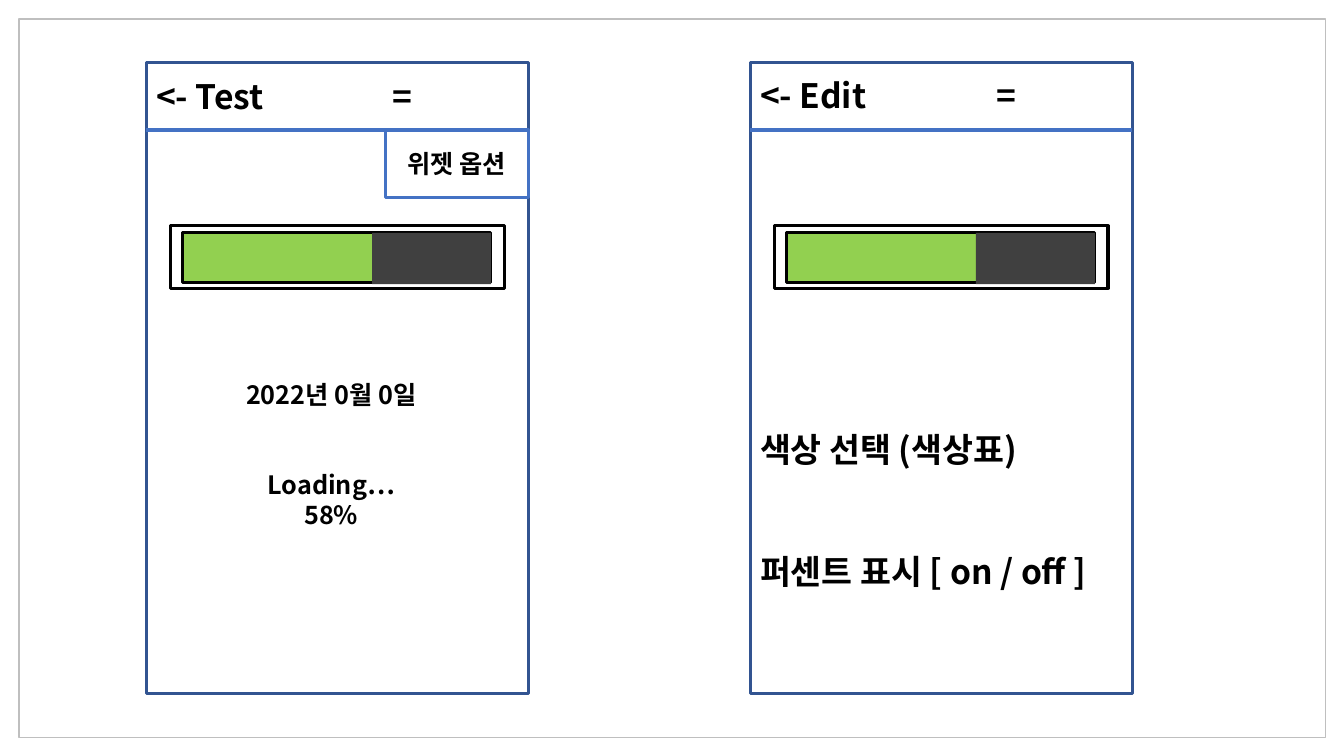
import pptx
import pptx.util
import pptx.dml.color
import pptx.enum.shapes
import pptx.enum.text
from lxml import etree
from pptx.util import Inches, Pt

FONT = "Noto Sans CJK KR"
BLACK, WHITE, BLUE, NAVY = "000000", "FFFFFF", "4472C4", "325491"
DRAWING_NS = "{http://schemas.openxmlformats.org/drawingml/2006/main}"
ALIGN = pptx.enum.text.PP_ALIGN

deck = pptx.Presentation()
deck.slide_width, deck.slide_height = Inches(13.33), Inches(7.5)
slide = deck.slides.add_slide(deck.slide_layouts[6])


def add_box(left, top, width, height, fill=None, line=None, weight=2.25):
    """Add a rectangle; a missing fill or line colour means none."""
    box = slide.shapes.add_shape(
        pptx.enum.shapes.MSO_SHAPE.RECTANGLE,
        Inches(left), Inches(top), Inches(width), Inches(height))
    box.shadow.inherit = False
    for part, color in ((box.fill, fill), (box.line.fill, line)):
        if color:
            part.solid()
            part.fore_color.rgb = pptx.dml.color.RGBColor.from_string(color)
        else:
            part.background()
    if line:
        box.line.width = Pt(weight)
    return box


def write(holder, lines, size, align, gap=0):
    """Write bold black paragraphs, with a gap in points between them."""
    frame = holder.text_frame
    frame.word_wrap = True
    frame.text = "\n".join(lines)
    for index, paragraph in enumerate(frame.paragraphs):
        paragraph.alignment = align
        paragraph.space_before = Pt(gap if index else 0)
        for run in paragraph.runs:
            run.font.size, run.font.bold, run.font.name = Pt(size), True, FONT
            run.font.color.rgb = pptx.dml.color.RGBColor.from_string(BLACK)
            etree.SubElement(run.font._element, DRAWING_NS + "ea", typeface=FONT)
    return frame


add_box(0.19, 0.19, 12.96, 7.13, line="BFBFBF", weight=1)

# Two phone screens, each with a title bar and a progress bar
SCREEN_WIDTH, HEADER_BOTTOM = 3.79, 1.29
for screen_left, title, title_top in ((7.44, "Edit", 0.69), (1.45, "Test", 0.7)):
    add_box(screen_left, 0.62, SCREEN_WIDTH, 6.26, WHITE, NAVY)

    divider = slide.shapes.add_connector(
        pptx.enum.shapes.MSO_CONNECTOR.STRAIGHT,
        Inches(screen_left), Inches(HEADER_BOTTOM),
        Inches(screen_left + SCREEN_WIDTH), Inches(HEADER_BOTTOM))
    divider.line.color.rgb = pptx.dml.color.RGBColor.from_string(BLUE)
    divider.line.width = Pt(2.25)
    etree.SubElement(divider._element.spPr, DRAWING_NS + "effectLst")

    header = slide.shapes.add_textbox(
        Inches(screen_left), Inches(title_top), Inches(3.68), Inches(0.5))
    header_frame = write(header, [f"<- {title}\t="], 24, ALIGN.LEFT)
    # The menu sign sits on a tab stop
    tabs = etree.SubElement(
        header_frame.paragraphs[0]._p.get_or_add_pPr(), DRAWING_NS + "tabLst")
    etree.SubElement(tabs, DRAWING_NS + "tab", pos=str(Inches(2.34)), algn="l")

    add_box(screen_left + 0.24, 2.24, 3.31, 0.62, WHITE, BLACK)
    add_box(screen_left + 0.36, 2.31, 3.06, 0.49, "92D050", BLACK)
    add_box(screen_left + 2.24, 2.31, 1.18, 0.51, "404040")

settings = slide.shapes.add_textbox(
    Inches(7.44), Inches(4.21), Inches(3.86), Inches(1.72))
write(settings, ["색상 선택 (색상표)", "퍼센트 표시 [ on / off ]"], 24, ALIGN.LEFT, gap=58)

status = slide.shapes.add_textbox(
    Inches(2.28), Inches(3.71), Inches(2.01), Inches(1.62))
write(status, ["2022년 0월 0일", "Loading… 58%"], 18, ALIGN.CENTER, gap=43)

widget_option = add_box(3.82, HEADER_BOTTOM, 1.42, 0.67, WHITE, BLUE)
write(widget_option, ["위젯 옵션"], 18, ALIGN.CENTER)

deck.save("out.pptx")
